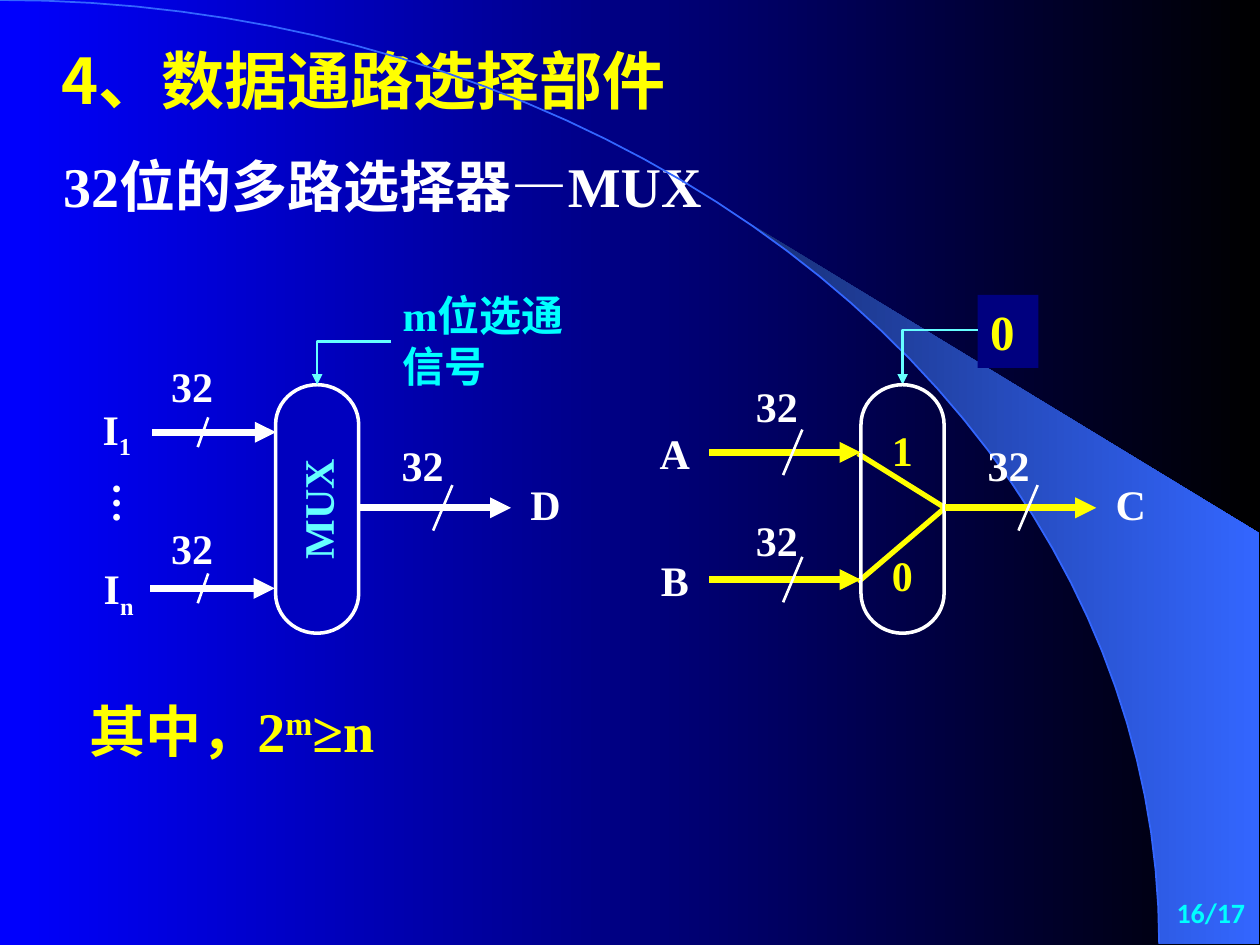
from dataclasses import dataclass
from math import cos, pi, sin

from pptx import Presentation
from pptx.dml.color import RGBColor as Color
from pptx.enum.shapes import MSO_CONNECTOR as Link
from pptx.enum.shapes import MSO_SHAPE as Preset
from pptx.enum.text import MSO_ANCHOR as Anchor
from pptx.enum.text import MSO_AUTO_SIZE as Fit
from pptx.enum.text import PP_ALIGN as Align
from pptx.oxml.ns import qn
from pptx.util import Pt


@dataclass(frozen=True)
class Theme:
    blue: str = "0000FF"
    black: str = "000000"
    arc: str = "3366FF"
    arc_dark: str = "182F76"
    capsule: str = "0000BF"
    navy: str = "00007F"
    white: str = "FFFFFF"
    yellow: str = "FFFF00"
    cyan: str = "00FFFF"
    pale_cyan: str = "66FFFF"
    serif: str = "Times New Roman"
    sans: str = "Noto Sans CJK SC"
    number_font: str = "Calibri"
    title_size: int = 36
    body_size: int = 32
    choice_size: int = 28
    label_size: int = 24
    number_size: int = 16


@dataclass(frozen=True)
class Lane:
    spans: tuple
    name_at: tuple
    start: float
    end: float
    y: float
    bits_at: tuple
    slash_x: float
    slash_size: tuple = (11, 26)


THEME = Theme()
CAPSULE_WIDTH, CAPSULE_HEIGHT = 47.5, 142


def paint(fill, color):
    fill.solid()
    fill.fore_color.rgb = Color.from_string(color)


def paint_gradient(fill, colors):
    fill.gradient()
    fill.gradient_angle = 0
    for stop, color in zip(fill.gradient_stops, colors):
        stop.color.rgb = Color.from_string(color)


def write(shape, spans, size, color, font=THEME.serif, align=Align.LEFT,
          anchor=Anchor.TOP, wrap=True):
    frame = shape.text_frame
    frame.word_wrap = wrap
    frame.auto_size = Fit.NONE
    frame.vertical_anchor = anchor
    para = frame.paragraphs[0]
    para.alignment = align
    para.space_before = Pt(0)
    for text, baseline in spans:
        span = para.add_run()
        span.text = text
        span.font.size = Pt(size)
        span.font.bold = True
        span.font.name = font
        span.font.color.rgb = Color.from_string(color)
        props = span.font._element
        east_asian = props.makeelement(qn("a:ea"), {"typeface": THEME.sans})
        props.find(qn("a:latin")).addnext(east_asian)
        if baseline:
            props.set("baseline", str(baseline * 1000))
    return shape


def add_text(page, box, text, size, color, **options):
    shape = page.shapes.add_textbox(*map(Pt, box))
    spans = ((text, 0),) if isinstance(text, str) else text
    return write(shape, spans, size, color, **options)


def add_line(page, start, end, color, width, arrow=False, kind=Link.STRAIGHT):
    line = page.shapes.add_connector(kind, *map(Pt, (*start, *end)))
    line.line.color.rgb = Color.from_string(color)
    line.line.width = Pt(width)
    props = line._element.spPr
    if arrow:
        stroke = line.line._get_or_add_ln()
        stroke.append(stroke.makeelement(qn("a:tailEnd"), {"type": "triangle"}))
    props.append(props.makeelement(qn("a:effectLst"), {}))
    return line


def add_elbow(page, start, end):
    elbow = add_line(page, start, end, THEME.pale_cyan, 1.5, True, Link.ELBOW)
    elbow._element.spPr.find(qn("a:prstGeom")).set("prst", "bentConnector2")


def add_capsule(page, left, top):
    shift = (CAPSULE_HEIGHT - CAPSULE_WIDTH) / 2
    box = (left - shift, top + shift, CAPSULE_HEIGHT, CAPSULE_WIDTH)
    capsule = page.shapes.add_shape(Preset.FLOWCHART_TERMINATOR, *map(Pt, box))
    capsule.rotation = 270
    capsule.shadow.inherit = False
    capsule.fill.background()
    capsule.line.color.rgb = Color.from_string(THEME.white)
    capsule.line.width = Pt(2)
    return capsule


def add_lane(page, left, top, lane, color):
    name_x, name_y = lane.name_at
    bits_x, bits_y = lane.bits_at
    x, y = left + lane.slash_x, top + lane.y
    width, height = lane.slash_size
    add_text(page, (left + name_x, top + name_y, 39.6, 36.7), lane.spans,
             THEME.label_size, THEME.white, align=Align.CENTER)
    add_line(page, (left + lane.start, y), (left + lane.end, y), color, 4, True)
    add_line(page, (x + width / 2, y - height / 2),
             (x - width / 2, y + height / 2), THEME.white, 1.5)
    add_text(page, (left + bits_x, top + bits_y, 58.3, 36.7), "32",
             THEME.label_size, THEME.white, align=Align.CENTER)


def draw_backdrop(page, left, top, width, height):
    paint_gradient(page.background.fill, (THEME.blue, THEME.black))
    curve_width, right = width * 0.92, left + width - 0.7

    def arc(first, last, steps=40):
        angles = [first + (last - first) * i / steps for i in range(steps + 1)]
        return [(Pt(left + curve_width * sin(a)), Pt(top + height * (1 - cos(a))))
                for a in angles]

    def outline(points, close):
        builder = page.shapes.build_freeform(*points[0], scale=1.0)
        builder.add_line_segments(points[1:], close=close)
        shape = builder.convert_to_shape()
        shape.shadow.inherit = False
        return shape

    corners = [(Pt(right), Pt(top + height)), (Pt(right), Pt(top + 304.6))]
    beam = outline(arc(0.695, pi / 2) + corners, True)
    paint_gradient(beam.fill, (THEME.arc_dark, THEME.arc))
    beam.line.fill.background()
    curve = outline(arc(0, pi / 2), False)
    curve.fill.background()
    curve.line.color.rgb = Color.from_string(THEME.arc)
    curve.line.width = Pt(1)


def draw_headings(page, left, top):
    title, body = page.shapes.title, page.placeholders[1]
    for holder, box in ((title, (left, top, 385, 50.4)),
                        (body, (left + 0.8, top + 62.7, 499, 46))):
        holder.left, holder.top, holder.width, holder.height = map(Pt, box)
    write(title, (("4、数据通路选择部件", 0),), THEME.title_size, THEME.yellow,
          font=THEME.sans)
    props = body.text_frame.paragraphs[0]._p.get_or_add_pPr()
    props.set("marL", "0")
    props.set("indent", "0")
    props.append(props.makeelement(qn("a:buNone"), {}))
    write(body, (("32位的多路选择器—MUX", 0),), THEME.body_size, THEME.white)


def draw_general_mux(page, left, top):
    capsule = add_capsule(page, left + 111.5, top + 57.8)
    paint(capsule.fill, THEME.capsule)
    write(capsule, (("MUX", 0),), THEME.label_size, THEME.pale_cyan,
          align=Align.CENTER, anchor=Anchor.MIDDLE)
    small = (6, 17)
    for lane in (
        Lane((("I", 0), ("1", -25)), (1, 65), 41, 111.7, 85, (34.6, 40.3), 70, small),
        Lane((("I", 0), ("n", -25)), (2, 156), 40, 111, 174.2, (34.6, 133.2), 70, small),
        Lane((("D", 0),), (246, 108), 159, 246, 128.2, (166.4, 85.7), 207),
    ):
        add_lane(page, left, top, lane, THEME.white)
    dots = add_text(page, (left + 2, top + 106.5, 44.6, 36.7), "…",
                    THEME.label_size, THEME.white, align=Align.CENTER)
    dots.text_frame._txBody.bodyPr.set("vert", "eaVert")
    add_text(page, (left + 177, top, 119.5, 65.5), "m位选通信号",
             THEME.label_size, THEME.cyan)
    add_elbow(page, (left + 177.2, top + 33.1), (left + 135.3, top + 57.8))


def draw_two_way_mux(page, left, top):
    output = (left + 175, top + 128.2)
    for y in (97.2, 170.6):
        add_line(page, (left + 125.3, top + y), output, THEME.yellow, 3)
    choice = page.shapes.add_shape(
        Preset.RECTANGLE, *map(Pt, (left + 193.7, top + 6.5, 34.6, 41.8)))
    choice.shadow.inherit = False
    paint(choice.fill, THEME.navy)
    choice.line.fill.background()
    write(choice, (("0", 0),), THEME.choice_size, THEME.yellow)
    add_elbow(page, (left + 193.7, top + 26.6), (left + 150.8, top + 57.8))
    add_capsule(page, left + 127, top + 57.8)
    for lane in (
        Lane((("A", 0),), (0.8, 78.5), 40.4, 126.8, 96.5, (49.7, 51.8), 88),
        Lane((("B", 0),), (0.8, 151.2), 40.4, 126.8, 169.2, (49.7, 128.2), 88),
        Lane((("C", 0),), (261.4, 108), 175, 261.4, 128.2, (182.2, 85.7), 222.5),
    ):
        add_lane(page, left, top, lane, THEME.yellow)
    for digit, y in (("1", 77), ("0", 148.5)):
        add_text(page, (left + 137.6, top + y, 28.8, 36.7), digit,
                 THEME.label_size, THEME.yellow)


def draw_notes(page, left, top):
    add_text(page, (left, top, 185, 46), (("其中，2", 0), ("m", 30), ("≥n", 0)),
             THEME.body_size, THEME.yellow, wrap=False)
    add_text(page, (left + 524.9, top + 113.7, 149.8, 30.2), "16/17",
             THEME.number_size, THEME.cyan, font=THEME.number_font,
             align=Align.RIGHT)


def main():
    deck = Presentation()
    deck.slide_width, deck.slide_height = Pt(720), Pt(540)
    page = deck.slides.add_slide(deck.slide_layouts[1])
    draw_backdrop(page, 0, 0, 720, 539.3)
    draw_headings(page, 28.1, 20.2)
    draw_general_mux(page, 46, 162)
    draw_two_way_mux(page, 365, 162)
    draw_notes(page, 43.9, 394.6)
    deck.save("out.pptx")


if __name__ == "__main__":
    main()
